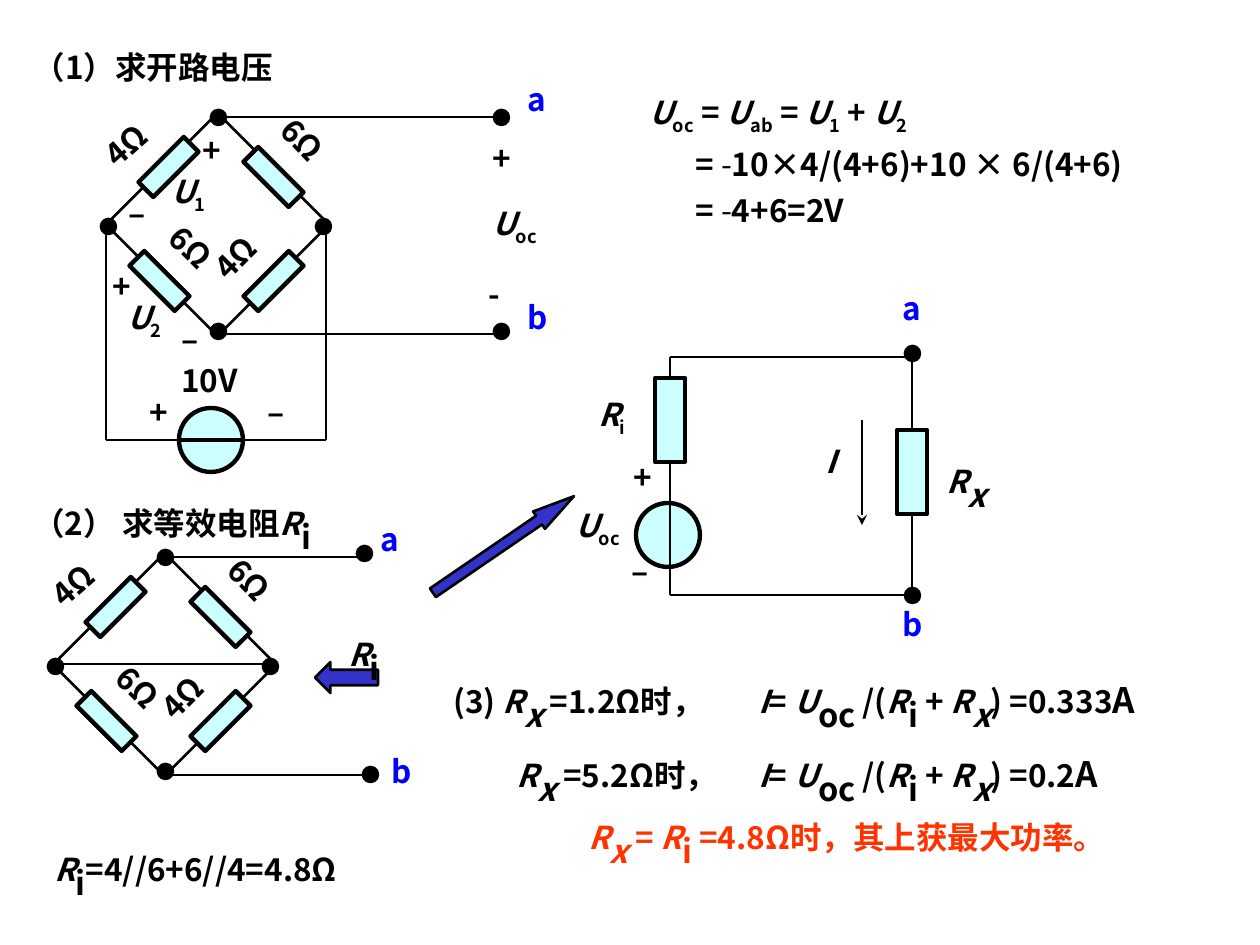
"""Build a slide that solves a bridge circuit with its equivalent source."""
from dataclasses import dataclass
from typing import NamedTuple

import lxml.etree
import pptx
import pptx.dml.color
import pptx.enum.shapes
import pptx.enum.text
import pptx.oxml.ns
import pptx.util

EMU_PER_PX = 914400 / 126
SHAPE = pptx.enum.shapes.MSO_SHAPE


@dataclass(frozen=True)
class Theme:
    font: str = "Noto Sans CJK SC"
    ink: str = "000000"
    node: str = "0000FF"
    result: str = "FF3300"
    component: str = "CCFFFF"
    arrow: str = "3333CC"
    text: int = 18
    unit: int = 20
    large: int = 32
    thin: float = 1.5
    thick: float = 2.5
    row_gap: int = 5


THEME = Theme()


class Span(NamedTuple):
    text: str
    italic: bool = False
    sub: bool = False
    size: int = THEME.text
    bold: bool = True


@dataclass(frozen=True)
class Label:
    x: int
    y: int
    width: int
    spans: tuple[Span, ...]
    color: str = THEME.ink
    rotation: float = 0


class Component(NamedTuple):
    x: int
    y: int
    width: int
    height: int
    kind: SHAPE
    fill: str | None = THEME.component
    line: float = THEME.thick
    rotation: float = 0
    adjustments: tuple[float, ...] = ()


class Wire(NamedTuple):
    x1: int
    y1: int
    x2: int
    y2: int
    arrow: bool = False
    weight: float = THEME.thin


def px(length: float) -> int:
    return round(length * EMU_PER_PX)


def rgb(color: str) -> pptx.dml.color.RGBColor:
    return pptx.dml.color.RGBColor.from_string(color)


def var(name: str) -> Span:
    return Span(name, italic=True)


def low(name: str, size: int = THEME.text) -> Span:
    return Span(name, italic=name == "x", sub=True, size=size)


def plain(text: str) -> tuple[Span, ...]:
    return (Span(text),)


def write(para, spans: tuple[Span, ...], color: str) -> None:
    para.alignment = pptx.enum.text.PP_ALIGN.LEFT
    para.font.color.rgb = rgb(color)
    para.font.size = pptx.util.Pt(THEME.text)
    para.font.bold = True
    para.font.name = THEME.font
    latin = para.font._element.find(pptx.oxml.ns.qn("a:latin"))
    east = lxml.etree.Element(pptx.oxml.ns.qn("a:ea"), typeface=THEME.font)
    latin.addnext(east)
    for item in spans:
        span = para.add_run()
        span.text = item.text
        if item.italic:
            span.font.italic = True
        if not item.bold:
            span.font.bold = False
        if item.size != THEME.text:
            span.font.size = pptx.util.Pt(item.size)
        if item.sub:
            span._r.get_or_add_rPr().set("baseline", "-25000")


def prepare(box) -> None:
    box.text_frame.word_wrap = True
    box.text_frame.auto_size = pptx.enum.text.MSO_AUTO_SIZE.NONE
    box.text_frame.vertical_anchor = pptx.enum.text.MSO_ANCHOR.TOP


def draw_label(page, label: Label):
    box = page.shapes.add_textbox(px(label.x), px(label.y), px(label.width), px(63))
    prepare(box)
    box.rotation = label.rotation
    write(box.text_frame.paragraphs[0], label.spans, label.color)
    return box


def draw_component(page, item: Component) -> None:
    shape = page.shapes.add_shape(item.kind, *map(px, item[:4]))
    shape.shadow.inherit = False
    shape.rotation = item.rotation
    for index, value in enumerate(item.adjustments):
        shape.adjustments[index] = value
    if item.fill:
        shape.fill.solid()
        shape.fill.fore_color.rgb = rgb(item.fill)
    else:
        shape.fill.background()
    shape.line.color.rgb = rgb(THEME.ink)
    shape.line.width = pptx.util.Pt(item.line)


def draw_wire(page, wire: Wire) -> None:
    kind = pptx.enum.shapes.MSO_CONNECTOR.STRAIGHT
    line = page.shapes.add_connector(kind, *map(px, wire[:4]))
    line.line.color.rgb = rgb(THEME.ink)
    line.line.width = pptx.util.Pt(wire.weight)
    if wire.arrow:
        lxml.etree.SubElement(line.line._get_or_add_ln(), pptx.oxml.ns.qn("a:tailEnd"), type="stealth")
    lxml.etree.SubElement(line._element.spPr, pptx.oxml.ns.qn("a:effectLst"))


def draw_dot(page, x: int, y: int) -> None:
    draw_component(page, Component(x, y, 15, 15, SHAPE.OVAL, THEME.ink, THEME.thin))


def draw_bridge(page, left: int, top: int) -> None:
    draw_component(page, Component(left, top, 223, 223, SHAPE.DIAMOND, None, THEME.thin))
    for x, y, turn in ((157, 136, 45), (52, 22, 45), (43, 136, -45), (157, 32, -45)):
        draw_component(page, Component(left + x, top + y, 21, 64, SHAPE.RECTANGLE, rotation=turn))
    for x, y in ((105, -3), (210, 106), (-5, 106), (105, 211)):
        draw_dot(page, left + x, top + y)
    for x, y, width, text, turn in ((94, 105, 103, "4Ω", -45.2), (154, 8, 92, "6Ω", 46.4),
                                    (43, 116, 93, "6Ω", 44.9), (-12, 0, 84, "4Ω", -41.4)):
        draw_label(page, Label(left + x, top + y, width, plain(text), rotation=turn))


def current(value: str) -> tuple[Span, ...]:
    return (var("I"), Span("= "), var("U"), low("oc", THEME.large), Span(" /("), *R_I, Span(" + "),
            *R_X, Span(f") ={value}"), Span("A", size=THEME.unit))


R_I = (var("R"), low("i", THEME.large))
R_X = (var("R"), low("x", THEME.large))
U_OC = (var("U"), low("oc"))

WIRES = (
    Wire(106, 226, 106, 440), Wire(326, 227, 326, 440), Wire(106, 440, 326, 440),
    Wire(210, 334, 505, 334), Wire(222, 117, 505, 117), Wire(179, 440, 242, 440, weight=THEME.thick),
    Wire(670, 357, 670, 595), Wire(670, 357, 912, 357), Wire(670, 595, 912, 595),
    Wire(912, 357, 912, 595), Wire(862, 420, 862, 525, arrow=True),
    Wire(55, 664, 267, 664), Wire(168, 557, 368, 557), Wire(165, 775, 365, 775),
)
SOURCES = ((179, 408), (636, 503))
RESISTORS = ((655, 378), (897, 430))
TERMINALS = ((494, 110), (494, 324), (905, 346), (905, 588), (357, 546), (363, 767))
ARROWS = (
    Component(315, 662, 63, 31, SHAPE.LEFT_ARROW, THEME.arrow, THEME.thin, 0, (0.5, 0.5)),
    Component(418, 534, 171, 21, SHAPE.RIGHT_ARROW, THEME.arrow, THEME.thin, -34.4, (0.5, 2.02)),
)
NODES = ((515, 74, "a"), (515, 292, "b"), (890, 283, "a"), (890, 599, "b"), (368, 514, "a"), (379, 746, "b"))
SIGNS = ((137, 387, "+"), (255, 387, "–"), (169, 314, "–"), (100, 261, "+"), (190, 125, "+"),
         (116, 188, "–"), (480, 133, "+"), (476, 269, "-"), (621, 452, "+"), (619, 546, "–"))
LABELS = (
    Label(169, 355, 127, plain("10V")),
    Label(115, 292, 75, (var("U"), low("2"))),
    Label(159, 166, 76, (var("U"), low("1"))),
    Label(480, 198, 90, U_OC),
    Label(563, 500, 115, U_OC),
    Label(813, 436, 76, (var("I"),)),
    Label(934, 431, 106, R_X),
    Label(586, 389, 106, (var("R"), low("i"))),
    Label(336, 604, 73, R_I),
    Label(21, 473, 410, (Span("（2） 求等效电阻"), *R_I)),
    Label(42, 819, 410, (*R_I, Span("=4//6+6//4=4.8Ω"))),
    Label(441, 651, 368, (Span("(3) "), *R_X, Span(" =1.2Ω时，"))),
    Label(746, 651, 483, current("0.333")),
    Label(504, 725, 284, (*R_X, Span(" =5.2Ω时，"))),
    Label(746, 725, 462, current("0.2")),
    Label(576, 787, 600, (*R_X, Span(" = "), *R_I, Span(" =4.8Ω时，其上获最大功率。")), THEME.result),
)
VOLTAGE = Label(637, 87, 592, (*U_OC, Span(" = "), var("U"), low("ab"), Span(" = "), var("U"), low("1"),
                               Span(" + "), var("U"), low("2")))


def main() -> None:
    deck = pptx.Presentation()
    deck.slide_width, deck.slide_height = px(1260), px(945)
    page = deck.slides.add_slide(deck.slide_layouts[5])
    title = page.shapes.title
    title.left, title.top, title.width, title.height = map(px, (21, 42, 357, 63))
    prepare(title)
    write(title.text_frame.paragraphs[0], plain("（1）求开路电压"), THEME.ink)
    for x, y in SOURCES:
        draw_component(page, Component(x, y, 64, 64, SHAPE.OVAL))
    for wire in WIRES:
        draw_wire(page, wire)
    for left, top in ((106, 113), (53, 553)):
        draw_bridge(page, left, top)
    for x, y in RESISTORS:
        draw_component(page, Component(x, y, 30, 84, SHAPE.RECTANGLE))
    for x, y in TERMINALS:
        draw_dot(page, x, y)
    for arrow in ARROWS:
        draw_component(page, arrow)
    for x, y, text in NODES:
        draw_label(page, Label(x, y, 47, plain(text), THEME.node))
    for x, y, text in SIGNS:
        draw_label(page, Label(x, y, 47, plain(text)))
    for label in LABELS:
        draw_label(page, label)
    formula = draw_label(page, VOLTAGE)
    formula.height = px(165)
    for rest in ("10×4/(4+6)+10 × 6/(4+6)", "4+6=2V"):
        para = formula.text_frame.add_paragraph()
        write(para, (Span("= "), Span("-", bold=False), Span(rest)), THEME.ink)
        para.space_before = pptx.util.Pt(THEME.row_gap)
        para._p.get_or_add_pPr().set("marL", str(px(46)))
    deck.save("out.pptx")


if __name__ == "__main__":
    main()
